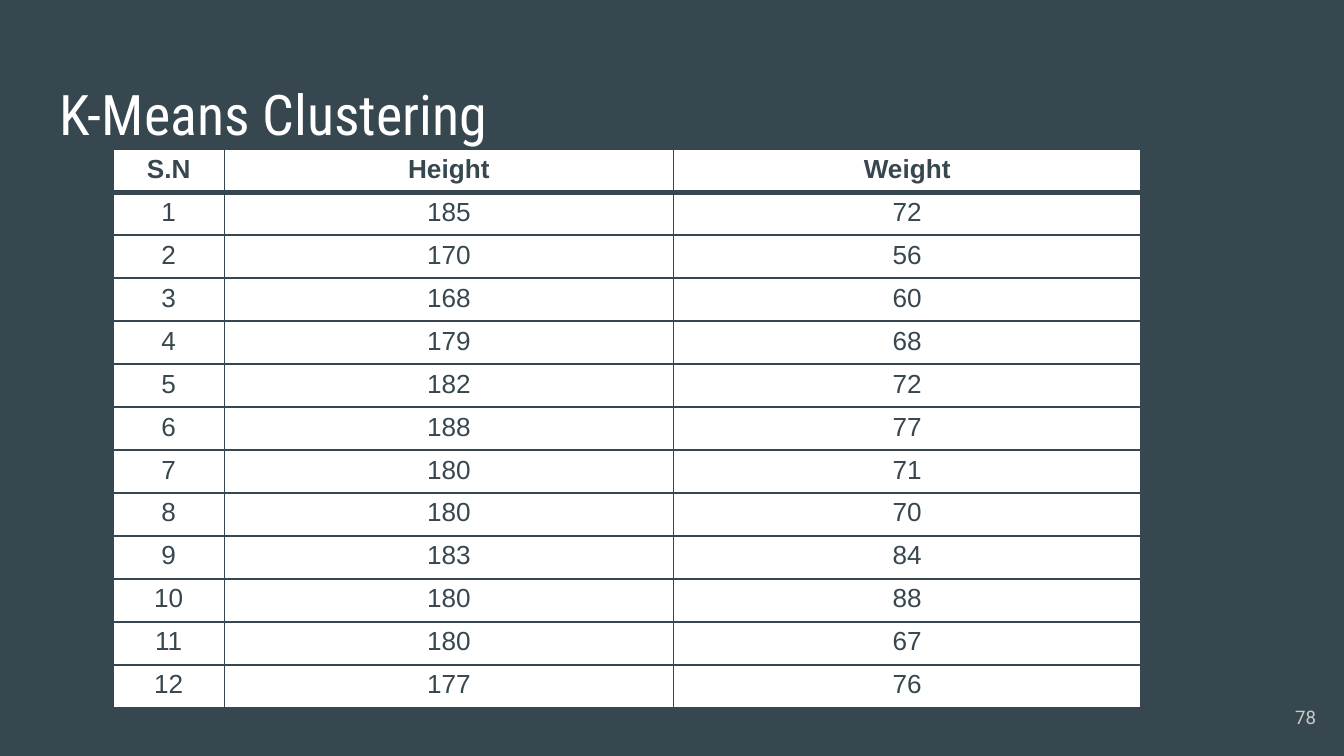
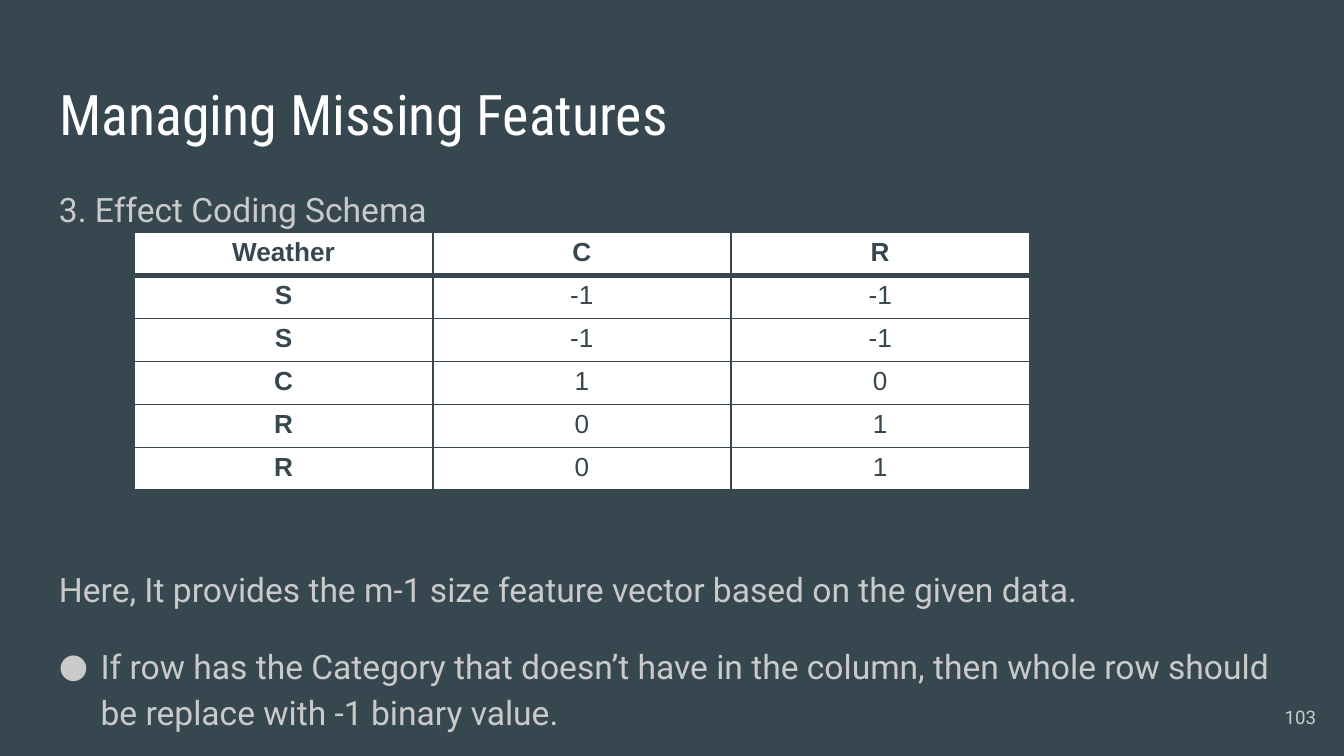
from lxml import etree
from pptx import Presentation
from pptx.dml.color import RGBColor
from pptx.enum import text
from pptx.oxml import ns
from pptx.util import Inches, Pt

SLATE = RGBColor(0x37, 0x47, 0x4F)
WHITE = RGBColor(0xFF, 0xFF, 0xFF)
GREY = RGBColor(0xCA, 0xCA, 0xCA)
ROW_HEIGHT = 0.32


def style(p, font, size, color, bold=False):
    for r in p.runs:
        r.font.name, r.font.size, r.font.bold = font, Pt(size), bold
        r.font.color.rgb = color


def add_box(s, left, top, width, height):
    """Add a wrapping text box with even insets and return its text frame."""
    tf = s.shapes.add_textbox(Inches(left), Inches(top), Inches(width), Inches(height)).text_frame
    tf.word_wrap = True
    tf.margin_left = tf.margin_right = tf.margin_top = tf.margin_bottom = Inches(0.1)
    return tf


measurements = [
    (185, 72), (170, 56), (168, 60), (179, 68), (182, 72), (188, 77),
    (180, 71), (180, 70), (183, 84), (180, 88), (180, 67), (177, 76),
]
height_rows = [("S.N", "Height", "Weight")]
height_rows += [(n, *pair) for n, pair in enumerate(measurements, 1)]
weather_rows = [
    ("Weather", "C", "R"),
    ("S", -1, -1), ("S", -1, -1), ("C", 1, 0), ("R", 0, 1), ("R", 0, 1),
]

# title, page number, table rows, left, top, column widths, bold first column
slides = [
    ("K-Means Clustering", 78, height_rows, 0.84, 1.11, (0.83, 3.34, 3.48), False),
    ("Managing Missing Features", 103, weather_rows, 1, 1.73, (2.22, 2.22, 2.22), True),
]

prs = Presentation()
prs.slide_width = Inches(10)
prs.slide_height = prs.slide_width * 9 // 16
background = prs.slide_master.background.fill
background.solid()
background.fore_color.rgb = SLATE

for title, page, rows, left, top, widths, bold_labels in slides:
    s = prs.slides.add_slide(prs.slide_layouts[5])
    sp = s.shapes.title
    sp.left, sp.top, sp.width, sp.height = Inches(0.34), Inches(0.49), Inches(9.32), Inches(0.63)
    tf = sp.text_frame
    tf.text = title
    tf.margin_left = tf.margin_right = tf.margin_top = tf.margin_bottom = Inches(0.1)
    tf.vertical_anchor = text.MSO_ANCHOR.TOP
    tf.auto_size = text.MSO_AUTO_SIZE.NONE
    tf.paragraphs[0].alignment = text.PP_ALIGN.LEFT
    style(tf.paragraphs[0], "Roboto Condensed", 30, WHITE)

    tf = add_box(s, 9.29, 5.12, 0.6, 0.43)
    tf.text = str(page)
    tf.vertical_anchor = text.MSO_ANCHOR.MIDDLE
    tf.paragraphs[0].alignment = text.PP_ALIGN.RIGHT
    style(tf.paragraphs[0], "Roboto", 10, GREY)

    frame = s.shapes.add_table(len(rows), len(widths), Inches(left), Inches(top),
                               Inches(sum(widths)), Inches(ROW_HEIGHT * len(rows)))
    table = frame.table
    table.horz_banding = False
    for column, width in zip(table.columns, widths):
        column.width = Inches(width)
    for i, row in enumerate(rows):
        table.rows[i].height = Inches(ROW_HEIGHT)
        for j, value in enumerate(row):
            cell = table.cell(i, j)
            cell.text = str(value)
            cell.margin_top = cell.margin_bottom = Inches(0.04)
            cell.fill.solid()
            cell.fill.fore_color.rgb = WHITE
            p = cell.text_frame.paragraphs[0]
            p.alignment = text.PP_ALIGN.CENTER
            style(p, "Arial", 14, SLATE, bold=i == 0 or (bold_labels and j == 0))
            borders = {"lnL": 1, "lnR": 1, "lnT": 3 if i == 1 else 1, "lnB": 3 if i == 0 else 1}
            for k, (side, points) in enumerate(borders.items()):
                ln = etree.Element(ns.qn("a:" + side), w=str(Pt(points)))
                fill = etree.SubElement(ln, ns.qn("a:solidFill"))
                etree.SubElement(fill, ns.qn("a:srgbClr"), val=str(SLATE))
                cell._tc.get_or_add_tcPr().insert(k, ln)

# Explanation around the weather table
tf = add_box(s, 0.34, 1.26, 9.32, 4.29)
tf.text = "\n".join([
    "3. Effect Coding Schema",
    "Here, It provides the m-1 size feature vector based on the given data.",
    "If row has the Category that doesn’t have in the column, then whole row should "
    "be replace with -1 binary value.",
])
heading, summary, rule = tf.paragraphs
for p in tf.paragraphs:
    p.line_spacing = 1.15
    p.space_after = Pt(16)
    style(p, "Roboto", 18, GREY)
summary.space_before = Pt(163)

pPr = rule._p.get_or_add_pPr()
pPr.set("marL", str(Inches(0.31)))
pPr.set("indent", str(-Inches(0.31)))
bullet_color = etree.SubElement(pPr, ns.qn("a:buClr"))
etree.SubElement(bullet_color, ns.qn("a:srgbClr"), val=str(GREY))
etree.SubElement(pPr, ns.qn("a:buFont"), typeface="Roboto")
etree.SubElement(pPr, ns.qn("a:buChar"), char="●")

# The weather table lies over the explanation
s.shapes._spTree.append(frame._element)

prs.save("out.pptx")
